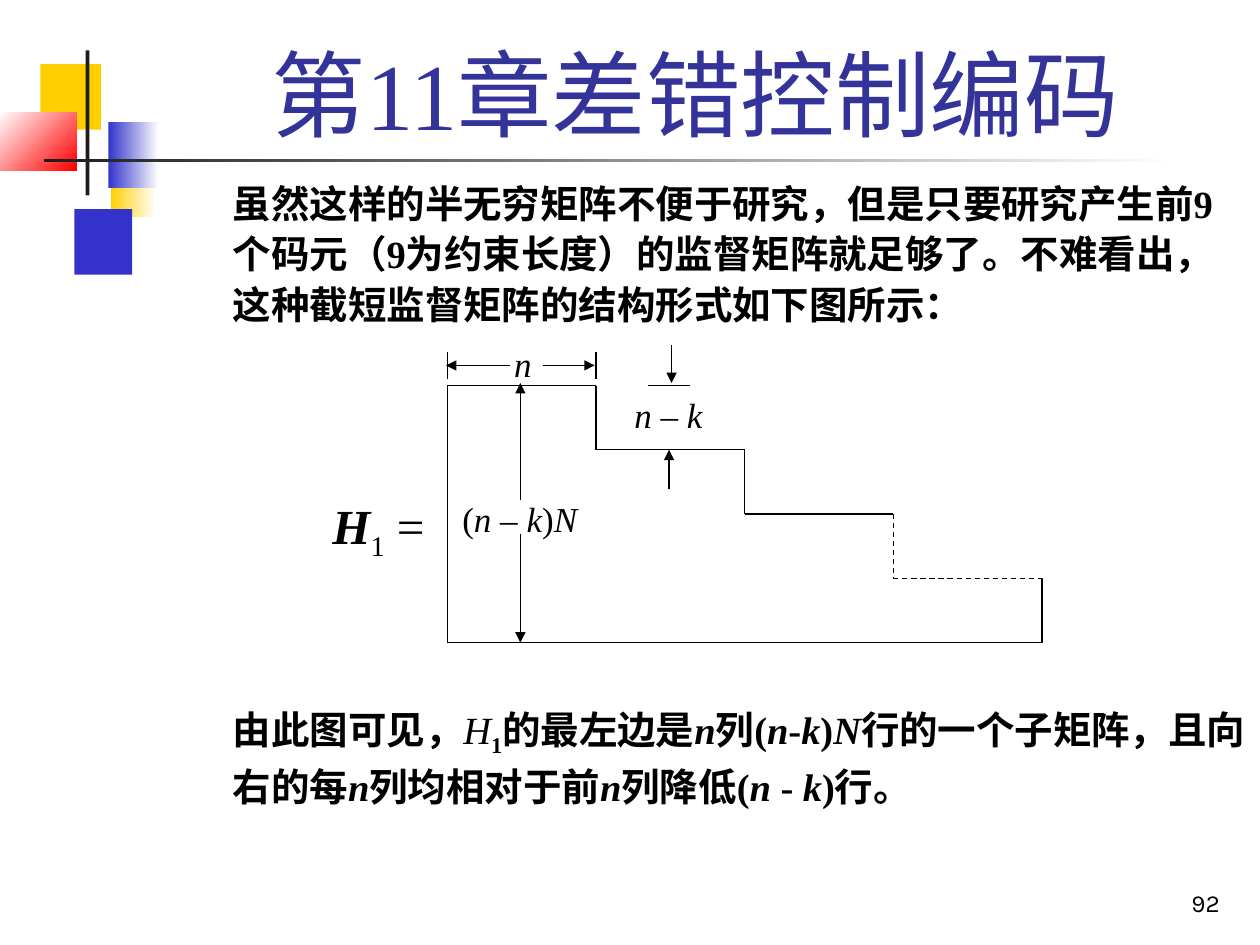
from lxml.etree import SubElement
from pptx import Presentation
from pptx.dml.color import RGBColor
from pptx.enum.dml import MSO_LINE
from pptx.enum.shapes import MSO_CONNECTOR, MSO_SHAPE
from pptx.enum.text import MSO_ANCHOR, MSO_AUTO_SIZE, PP_ALIGN
from pptx.oxml.ns import qn
from pptx.util import Pt

EMU_PER_PX = 9144


def px(length):
    """Turn whole px, 100 to the inch, into EMU."""
    return length * EMU_PER_PX


def color(hex_string):
    """Turn a hex string into a colour."""
    return RGBColor.from_string(hex_string)


def write(paragraph, text, size=20, font="Times New Roman", ink="000000",
          bold=False, italic=False, subscript=False):
    """Append a formatted run to a paragraph."""
    run = paragraph.add_run()
    run.text = text
    run.font.size = Pt(size)
    run.font.name = font
    run.font.color.rgb = color(ink)
    run.font.bold = bold
    run.font.italic = italic
    if subscript:
        run._r.get_or_add_rPr().set("baseline", "-25000")


class SlideBuilder:
    """Hold the shared style and the current slide."""

    ink = "000000"
    line_width = 0.75

    def __init__(self, presentation):
        self.slide = presentation.slides.add_slide(presentation.slide_layouts[5])

    def fill_frame(self, frame, runs, align, anchor, inset, spacing, **style):
        """Set up a text frame and write one paragraph of (text, flags) runs."""
        frame.word_wrap = True
        frame.auto_size = MSO_AUTO_SIZE.NONE
        frame.vertical_anchor = anchor
        frame.margin_left = frame.margin_right = px(2 * inset)
        frame.margin_top = frame.margin_bottom = px(inset)
        paragraph = frame.paragraphs[0]
        paragraph.alignment = align
        paragraph.line_spacing = spacing
        for text, flags in runs:
            write(paragraph, text, bold="b" in flags, italic="i" in flags,
                  subscript="s" in flags, **style)

    def title(self, text, left, top, width, height, **style):
        """Place and format the title placeholder."""
        holder = self.slide.shapes.title
        holder.left, holder.top = px(left), px(top)
        holder.width, holder.height = px(width), px(height)
        self.fill_frame(holder.text_frame, [(text, "")], PP_ALIGN.CENTER,
                        MSO_ANCHOR.BOTTOM, 5, 1.0, **style)

    def text(self, runs, left, top, width, height, align=PP_ALIGN.LEFT,
             anchor=MSO_ANCHOR.TOP, inset=5, spacing=1.0, **style):
        """Add a text box."""
        box = self.slide.shapes.add_textbox(px(left), px(top), px(width), px(height))
        self.fill_frame(box.text_frame, runs, align, anchor, inset, spacing, **style)

    def block(self, left, top, width, height, start, end=None, angle=0):
        """Add a borderless rectangle, plain or with a gradient."""
        rectangle = self.slide.shapes.add_shape(
            MSO_SHAPE.RECTANGLE, px(left), px(top), px(width), px(height))
        rectangle.shadow.inherit = False
        rectangle.line.fill.background()
        if end is None:
            rectangle.fill.solid()
            rectangle.fill.fore_color.rgb = color(start)
            return
        rectangle.fill.gradient()
        rectangle.fill.gradient_angle = angle
        for stop, position, shade in zip(rectangle.fill.gradient_stops, (0, 1), (start, end)):
            stop.position = position
            stop.color.rgb = color(shade)

    def line(self, x1, y1, x2, y2, dashed=False, arrow=False):
        """Add a straight line, with an arrowhead at its end if asked."""
        connector = self.slide.shapes.add_connector(
            MSO_CONNECTOR.STRAIGHT, px(x1), px(y1), px(x2), px(y2))
        connector.line.color.rgb = color(self.ink)
        connector.line.width = Pt(self.line_width)
        if dashed:
            connector.line.dash_style = MSO_LINE.DASH
        properties = connector._element.spPr
        if arrow:
            SubElement(properties.find(qn("a:ln")), qn("a:tailEnd"), type="triangle")
        SubElement(properties, qn("a:effectLst"))


def draw_ornament(builder):
    """Draw the coloured blocks and the rule beside the title."""
    builder.block(88, 120, 36, 52, "FFCF01", "FFFFFF")
    builder.block(59, 166, 46, 52, "3333CC")
    builder.block(32, 51, 48, 52, "FFCF01")
    builder.block(86, 97, 40, 52, "3333CC", "FFFFFF")
    builder.block(0, 89, 61, 46, "FFFFFF", "FF0000", angle=315)
    builder.block(68, 40, 3, 115, "1C1C1C")
    builder.block(35, 126, 900, 3, "1C1C1C", "FFFFFF")


def draw_matrix(builder):
    """Draw the staircase outline of the truncated matrix with its dimensions."""
    left, top, tread, riser, steps = 355, 306, 118, 51, 4
    bottom = top + steps * riser
    for step in range(steps):
        x, y = left + step * tread, top + step * riser
        builder.line(x, y, x + tread, y, dashed=step == 3)
        builder.line(x + tread, y, x + tread, y + riser, dashed=step == 2)
    builder.line(left, top, left, bottom)
    builder.line(left, bottom, left + steps * tread, bottom)

    for edge in (left, left + tread):
        builder.line(edge, 301, edge, 279)
    builder.line(431, 290, 472, 290, arrow=True)
    builder.line(405, 290, 354, 290, arrow=True)
    builder.line(514, top, 548, top)
    builder.line(531, 388, 531, top + riser, arrow=True)
    builder.line(533, 274, 533, 304, arrow=True)
    builder.line(413, 424, 413, bottom, arrow=True)
    builder.line(413, 397, 413, 304, arrow=True)

    builder.text([("H", "bi"), ("1", "s"), (" =", "")], 254, 388, 105, 46, size=28)
    difference = [("n ", "i"), ("– ", ""), ("k", "i")]
    labels = [
        ([("n", "i")], 394, 272, 42, 32),
        (difference, 489, 312, 83, 35),
        ([("(", ""), *difference, (")", ""), ("N", "i")], 359, 395, 107, 35),
    ]
    for runs, *place in labels:
        builder.text(runs, *place, align=PP_ALIGN.CENTER, inset=0)


def main():
    """Build the slide and save it."""
    presentation = Presentation()
    presentation.slide_width, presentation.slide_height = px(1000), px(750)
    builder = SlideBuilder(presentation)
    draw_ornament(builder)
    builder.title("第11章差错控制编码", 126, 23, 852, 101, size=54, ink="333399")

    introduction = [(
        "虽然这样的半无穷矩阵不便于研究，但是只要研究产生前9个码元（9为约束长度）的监督矩阵"
        "就足够了。不难看出，这种截短监督矩阵的结构形式如下图所示：", "b")]
    conclusion = [
        ("由此图可见，", "b"), ("H", "i"), ("1", "bs"), ("的最左边是", "b"), ("n", "bi"),
        ("列(", "b"), ("n", "bi"), ("-", "b"), ("k", "bi"), (")", "b"), ("N", "bi"),
        ("行的一个子矩阵，且向右的每", "b"), ("n", "bi"), ("列均相对于前", "b"), ("n", "bi"),
        ("列降低(", "b"), ("n", "bi"), (" - ", "b"), ("k", "bi"), (")行。", "b"),
    ]
    for runs, top, height in ((introduction, 134, 132), (conclusion, 551, 100)):
        builder.text(runs, 175, top, 825, height, spacing=1.1, size=22)

    draw_matrix(builder)
    builder.text([("92", "")], 770, 683, 208, 50, align=PP_ALIGN.RIGHT,
                 anchor=MSO_ANCHOR.BOTTOM, size=14, font="Karla")
    presentation.save("out.pptx")


if __name__ == "__main__":
    main()
